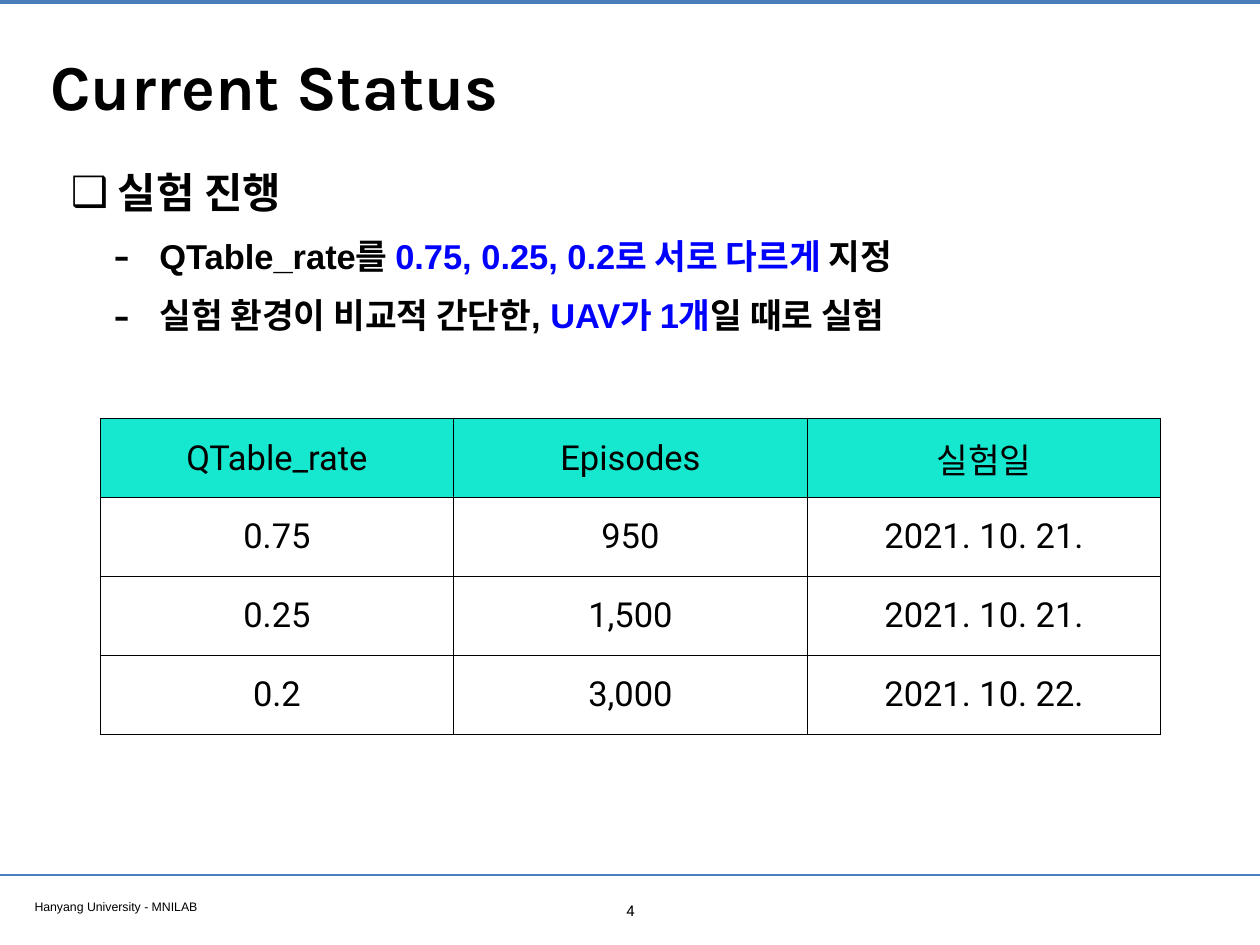
from lxml.etree import SubElement
from pptx import Presentation
from pptx.dml.color import RGBColor
from pptx.enum.shapes import MSO_CONNECTOR
from pptx.enum.text import MSO_ANCHOR, PP_ALIGN
from pptx.oxml.ns import qn
from pptx.util import Emu, Pt

PX = 9144  # 100 px to the inch
SLIDE_W, SLIDE_H = 1422, 1067
INSET = 6

BLACK = RGBColor(0x00, 0x00, 0x00)
BLUE = RGBColor(0x00, 0x00, 0xFF)
RULE_BLUE = RGBColor(0x4A, 0x7E, 0xBB)
TURQUOISE = RGBColor(0x16, 0xE7, 0xCF)

BULLETS = [
    # level, indent, hanging, bullet, bullet size in %, text size, runs
    (0, 53, 53, "❑", 100, 34, [("실험 진행", BLACK)]),
    (1, 100, 52, "-", 145, 28, [
        ("QTable_rate를 ", BLACK),
        ("0.75, 0.25, 0.2로 서로 다르게", BLUE),
        (" 지정", BLACK)]),
    (1, 100, 52, "-", 145, 28, [
        ("실험 환경이 비교적 간단한, ", BLACK),
        ("UAV가 1개", BLUE),
        ("일 때로 실험", BLACK)]),
]

EXPERIMENTS = [
    ("QTable_rate", "Episodes", "실험일"),
    ("0.75", "950", "2021. 10. 21."),
    ("0.25", "1,500", "2021. 10. 21."),
    ("0.2", "3,000", "2021. 10. 22."),
]


def px(length):
    return Emu(length * PX)


def add_rule(slide, y, width):
    rule = slide.shapes.add_connector(
        MSO_CONNECTOR.STRAIGHT, 0, px(y), px(SLIDE_W), px(y))
    rule.line.color.rgb = RULE_BLUE
    rule.line.width = Pt(width)
    SubElement(rule._element.spPr, qn("a:effectLst"))


def add_run(paragraph, text, font, size, color=BLACK, bold=False):
    run = paragraph.add_run()
    run.text = text
    run.font.name = font
    run.font.size = Pt(size)
    run.font.bold = bold
    run.font.color.rgb = color


def add_frame(slide, left, top, width, height, anchor=MSO_ANCHOR.TOP):
    frame = slide.shapes.add_textbox(
        px(left), px(top), px(width), px(height)).text_frame
    frame.word_wrap = True
    frame.vertical_anchor = anchor
    frame.margin_left = frame.margin_right = px(INSET)
    frame.margin_top = frame.margin_bottom = px(INSET)
    return frame


def set_bullet(paragraph, indent, hanging, symbol, percent):
    properties = paragraph._p.get_or_add_pPr()
    properties.set("marL", str(px(indent)))
    properties.set("indent", str(-px(hanging)))
    SubElement(properties, qn("a:buSzPct"), val=str(percent * 1000))
    SubElement(properties, qn("a:buFont"), typeface="Arial")
    SubElement(properties, qn("a:buChar"), char=symbol)


def add_bullets(slide, left, top, width, height):
    frame = add_frame(slide, left, top, width, height)
    for index, (level, indent, hanging, symbol, percent, size, runs) in enumerate(BULLETS):
        paragraph = frame.add_paragraph() if index else frame.paragraphs[0]
        set_bullet(paragraph, indent, hanging, symbol, percent)
        paragraph.level = level
        paragraph.line_spacing = 1.2
        paragraph.space_before = Pt(8 if index else 0)
        for text, color in runs:
            add_run(paragraph, text, "Arial", size, color, bold=True)


def add_borders(cell):
    properties = cell._tc.get_or_add_tcPr()
    for position, side in enumerate(("lnL", "lnR", "lnT", "lnB")):
        border = properties.makeelement(qn(f"a:{side}"), {"w": str(Pt(1))})
        fill = SubElement(border, qn("a:solidFill"))
        SubElement(fill, qn("a:srgbClr"), val=str(BLACK))
        properties.insert(position, border)


def add_experiment_table(slide, left, top, column_width, row_height):
    row_count, column_count = len(EXPERIMENTS), len(EXPERIMENTS[0])
    table = slide.shapes.add_table(
        row_count, column_count, px(left), px(top),
        px(column_width * column_count), px(row_height * row_count)).table
    table.first_row = table.horz_banding = False
    for row, values in enumerate(EXPERIMENTS):
        for column, value in enumerate(values):
            cell = table.cell(row, column)
            cell.vertical_anchor = MSO_ANCHOR.MIDDLE
            if row == 0:
                cell.fill.solid()
                cell.fill.fore_color.rgb = TURQUOISE
            else:
                cell.fill.background()
            add_borders(cell)
            paragraph = cell.text_frame.paragraphs[0]
            paragraph.alignment = PP_ALIGN.CENTER
            add_run(paragraph, value, "Roboto", 28)


def main():
    presentation = Presentation()
    presentation.slide_width = px(SLIDE_W)
    presentation.slide_height = px(SLIDE_H)
    slide = presentation.slides.add_slide(presentation.slide_layouts[6])

    # Rules at the top and above the footer
    add_rule(slide, 2, 3.2)
    add_rule(slide, 988, 2)

    # Footer
    footer = add_frame(slide, 33, 1009, 546, 26)
    add_run(footer.paragraphs[0], "Hanyang University - MNILAB", "Arial", 10)
    page_number = add_frame(slide, 692, 1012, 39, 31).paragraphs[0]
    page_number.alignment = PP_ALIGN.CENTER
    add_run(page_number, "4", "Roboto", 12)

    # Title
    title = add_frame(slide, 51, 28, 1321, 135, MSO_ANCHOR.MIDDLE)
    add_run(title.paragraphs[0], "Current Status", "Karla", 52, bold=True)

    # Experiment setup and results
    add_bullets(slide, 74, 171, 1275, 234)
    add_experiment_table(slide, 113, 473, 399, 89)

    presentation.save("out.pptx")


if __name__ == "__main__":
    main()
